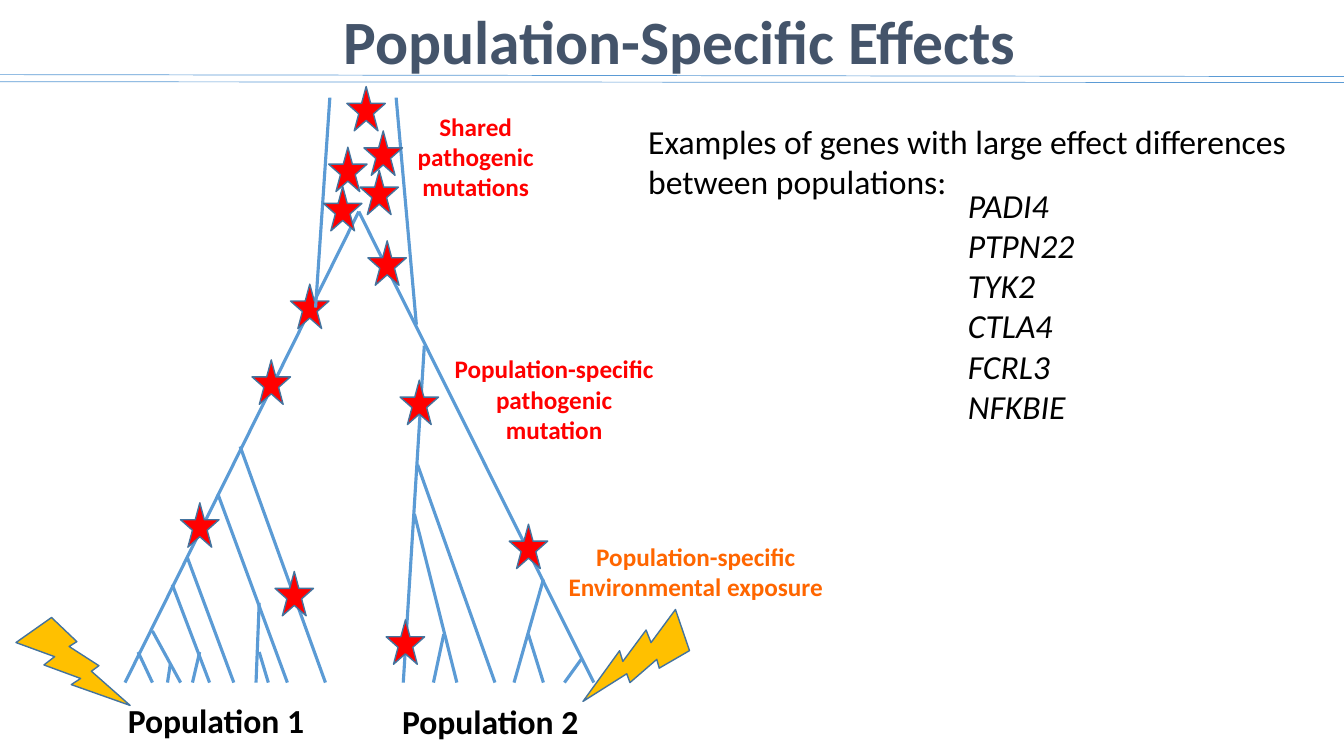
from lxml import etree
from pptx import Presentation, util as u
from pptx.dml.color import RGBColor
from pptx.enum import shapes, text
from pptx.oxml.ns import qn

Cm = u.Cm
BLUE, EDGE, RED, GOLD = "5B9BD5", "43739E", "FF0000", "FFC000"
LEFT, MID = text.PP_ALIGN.LEFT, text.PP_ALIGN.CENTER
STAR = shapes.MSO_SHAPE.STAR_5_POINT
BOLT = shapes.MSO_SHAPE.LIGHTNING_BOLT

deck = Presentation()
deck.slide_width, deck.slide_height = Cm(33.86), Cm(19.05)
slide = deck.slides.add_slide(deck.slide_layouts[1])
items = slide.shapes


def write(box, rows, size, hue, bold=False, ital=False, align=LEFT, space=1.0):
    frame = box.text_frame
    frame.auto_size = text.MSO_AUTO_SIZE.NONE
    for i, row in enumerate(rows):
        para = frame.paragraphs[0] if i == 0 else frame.add_paragraph()
        para.alignment, para.line_spacing = align, space
        para.space_before = u.Pt(0)
        run = para.add_run()
        run.text = row
        font = run.font
        font.name, font.size = "Calibri", u.Pt(size)
        font.bold, font.italic = bold, ital
        font.color.rgb = RGBColor.from_string(hue)


def paint(item, line, width, fill=None):
    item.line.color.rgb = RGBColor.from_string(line)
    item.line.width = u.Pt(width)
    if fill:
        item.shadow.inherit = False
        item.fill.solid()
        item.fill.fore_color.rgb = RGBColor.from_string(fill)
    else:
        etree.SubElement(item.element.spPr, qn("a:effectLst"))


# Title
title = items.title
title.left, title.top, title.width, title.height = Cm(2.34), Cm(0.1), Cm(29.57), Cm(2.03)
title.text_frame.vertical_anchor = text.MSO_ANCHOR.MIDDLE
write(title, ["Population-Specific Effects"], 44, "44546A", bold=True, align=MID, space=0.9)

# Gene list
genes = slide.placeholders[1]
genes.left, genes.top, genes.width, genes.height = Cm(24.13), Cm(4.52), Cm(5.11), Cm(6.4)
write(genes, ["PADI4", "PTPN22", "TYK2", "CTLA4", "FCRL3", "NFKBIE"], 24, "000000", ital=True)
for para in genes.text_frame.paragraphs:
    props = para._p.get_or_add_pPr()
    props.set("marL", "0")
    props.set("indent", "0")
    etree.SubElement(props, qn("a:buNone"))

# Double rule under the title
for y1, y2 in [(1.88, 1.93), (2.06, 2.08)]:
    rule = items.add_connector(shapes.MSO_CONNECTOR.STRAIGHT, 0, Cm(y1), deck.slide_width, Cm(y2))
    paint(rule, BLUE, 0.5)

# Tree branches: fork x, fork y, tip x; every tip ends on the same level
base = 17.2
forks = [
    (9.04, 5.33, 3.15), (9.04, 5.33, 14.96),
    # population 1
    (3.48, 16.43, 3.84), (6.05, 11.25, 8.2), (3.84, 15.9, 4.55),
    (4.29, 16.74, 4.22), (4.72, 14.05, 5.89), (4.34, 14.73, 5.28),
    (5.49, 12.45, 7.24), (6.53, 15.19, 6.45), (6.53, 16.43, 6.76),
    (5.03, 16.43, 4.85),
    # population 2
    (10.69, 8.71, 10.16), (10.52, 11.71, 12.47), (10.44, 12.95, 11.51),
    (11.18, 15.98, 10.92), (14.66, 16.59, 14.22), (13.69, 14.6, 12.95),
    (13.31, 15.98, 13.69),
]
tree = [(x, y, tip, base) for x, y, tip in forks]
stem = [(7.95, 7.75, 8.31, 2.46), (10.49, 8.18, 9.98, 2.46)]

# Mutation stars: population-specific, then shared
own = [(6.35, 9.07), (7.32, 7.16), (4.55, 12.67), (6.93, 14.4),
       (9.27, 6.07), (10.08, 9.58), (9.73, 15.62), (12.83, 13.21)]
shared = [(8.74, 2.18), (9.17, 3.3), (8.28, 3.71), (9.07, 4.29), (8.15, 4.7)]

for lines, stars in [(tree, own), (stem, shared)]:
    for ends in lines:
        branch = items.add_connector(shapes.MSO_CONNECTOR.STRAIGHT, *map(Cm, ends))
        paint(branch, BLUE, 2.25)
    for x, y in stars:
        star = items.add_shape(STAR, Cm(x), Cm(y), Cm(0.97), Cm(1.12))
        paint(star, EDGE, 1, RED)

# Environmental exposure bolts
for x, y, turn in [(14.81, 15.27, 95.8), (0.53, 15.49, 349.5)]:
    bolt = items.add_shape(BOLT, Cm(x), Cm(y), Cm(2.54), Cm(2.54))
    bolt.rotation = turn
    paint(bolt, EDGE, 1, GOLD)

# Labels
labels = [
    ((2.97, 17.5, 5, 1.27), ["Population 1"], 24, "000000", True, LEFT),
    ((9.88, 17.53, 5, 1.27), ["Population 2"], 24, "000000", True, LEFT),
    ((11.18, 8.79, 5.56, 2.57), ["Population-specific", "pathogenic", "mutation"],
     18, RED, True, MID),
    ((14.05, 13.51, 6.96, 1.8), ["Population-specific", "Environmental exposure"],
     18, "FF6600", True, MID),
    ((10.26, 2.67, 3.45, 2.57), ["Shared", "pathogenic", "mutations"], 18, RED, True, MID),
    ((16.08, 2.92, 16.97, 2.31),
     ["Examples of genes with large effect differences", "between populations:"],
     24, "000000", False, LEFT),
]
for place, rows, size, hue, bold, align in labels:
    box = items.add_textbox(*map(Cm, place))
    box.text_frame.word_wrap = False
    write(box, rows, size, hue, bold=bold, align=align)

deck.save("out.pptx")
